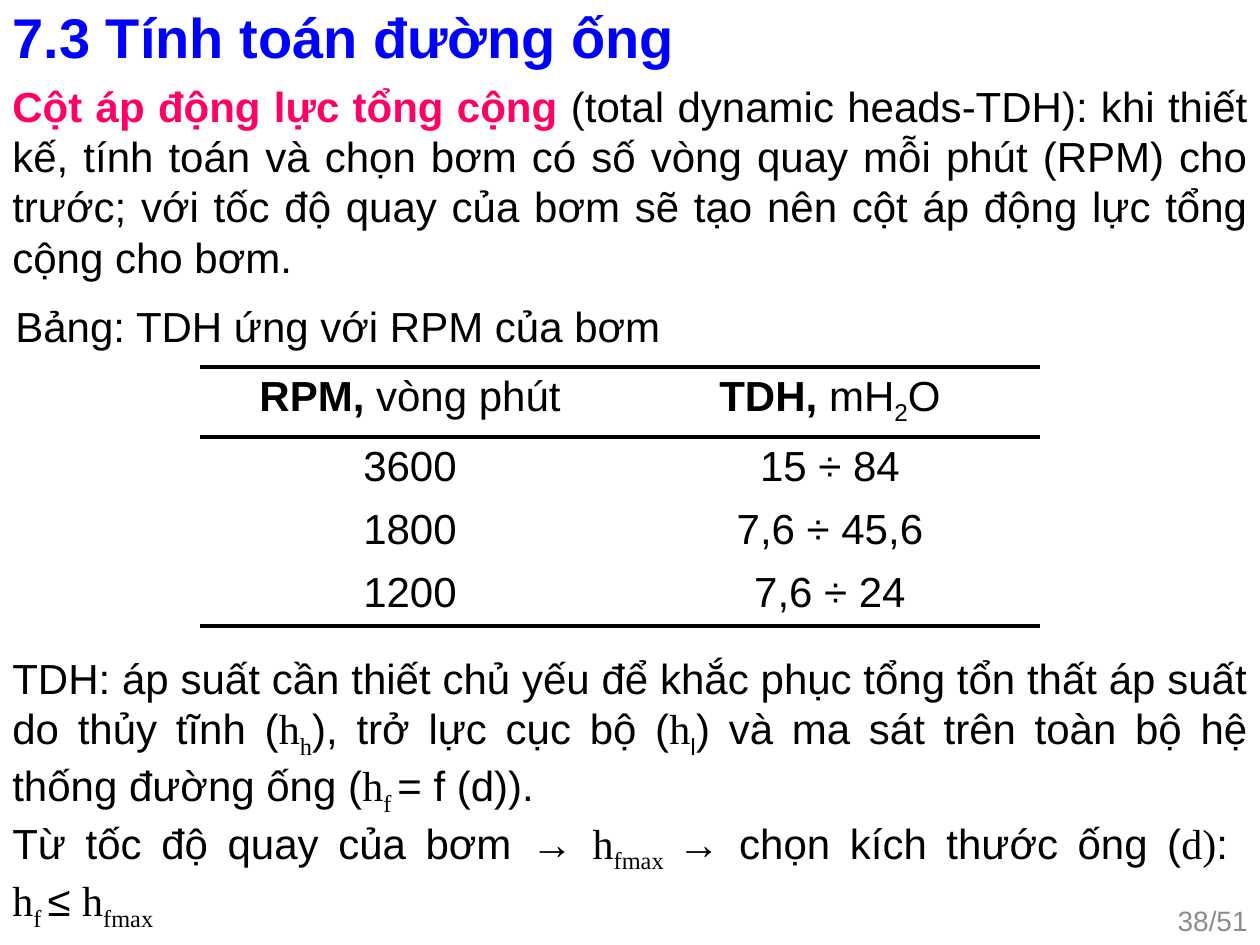
from dataclasses import dataclass
from typing import Optional

import pptx
import pptx.dml.color
import pptx.enum.text
import pptx.oxml
import pptx.oxml.ns
import pptx.util

EMU_PER_PX = 914400 / 126
SANS = "Arial"
SERIF = "Times New Roman"
BLACK = "000000"
ALIGN = pptx.enum.text.PP_ALIGN
ANCHOR = pptx.enum.text.MSO_ANCHOR
FIT = pptx.enum.text.MSO_AUTO_SIZE


@dataclass(frozen=True)
class Span:
    text: str
    font: str = SANS
    color: str = BLACK
    size: int = 24
    bold: bool = False
    subscript: bool = False
    line_break: bool = False


@dataclass(frozen=True)
class Block:
    left: int
    top: int
    width: int
    height: int
    paragraphs: list
    align: ALIGN = ALIGN.JUSTIFY
    anchor: ANCHOR = ANCHOR.TOP
    wrap: bool = True
    fit: FIT = FIT.SHAPE_TO_FIT_TEXT


def px(length: int) -> int:
    return round(length * EMU_PER_PX)


def rgb(color: str) -> pptx.dml.color.RGBColor:
    return pptx.dml.color.RGBColor.from_string(color)


def head(subscript: str, font: str = SERIF) -> list[Span]:
    return [Span("h", SERIF), Span(subscript, font, subscript=True)]


def write_paragraph(para, spans: list[Span], align: ALIGN) -> None:
    para.alignment = align
    for span in spans:
        run = para.add_run()
        run.text = span.text
        run.font.name = span.font
        run.font.size = pptx.util.Pt(span.size)
        run.font.bold = span.bold
        run.font.color.rgb = rgb(span.color)
        if span.subscript:
            run.font._element.set("baseline", "-25000")
        if span.line_break:
            para.add_line_break()


def fill_box(box, block: Block) -> None:
    box.left, box.top = px(block.left), px(block.top)
    box.width, box.height = px(block.width), px(block.height)
    frame = box.text_frame
    frame.word_wrap = block.wrap
    frame.auto_size = block.fit
    frame.vertical_anchor = block.anchor
    for index, spans in enumerate(block.paragraphs):
        para = frame.add_paragraph() if index else frame.paragraphs[0]
        write_paragraph(para, spans, block.align)


def add_block(page, block: Block) -> None:
    fill_box(page.shapes.add_textbox(0, 0, 0, 0), block)


def set_border(cell, side: str, color: Optional[str], position: int) -> None:
    fill = f'<a:solidFill><a:srgbClr val="{color}"/></a:solidFill>' if color else "<a:noFill/>"
    line = pptx.oxml.parse_xml(
        f'<a:ln{side} {pptx.oxml.ns.nsdecls("a")} w="{pptx.util.Pt(2.25)}">{fill}</a:ln{side}>'
    )
    cell._tc.get_or_add_tcPr().insert(position, line)


def add_rpm_table(page, rows: list[list[list[Span]]]) -> None:
    heights = [70] + [63] * (len(rows) - 1)
    frame = page.shapes.add_table(len(rows), 2, px(200), px(367), px(840), px(sum(heights)))
    table = frame.table
    table.first_row = False
    table.horz_banding = False
    for column in table.columns:
        column.width = px(420)
    last = len(rows) - 1
    for row_index, row in enumerate(rows):
        table.rows[row_index].height = px(heights[row_index])
        ruled_sides = {"T": row_index in (0, 1), "B": row_index in (0, last)}
        for column_index, spans in enumerate(row):
            cell = table.cell(row_index, column_index)
            write_paragraph(cell.text_frame.paragraphs[0], spans, ALIGN.CENTER)
            cell.fill.background()
            for position, side in enumerate("LRTB"):
                set_border(cell, side, BLACK if ruled_sides.get(side) else None, position)


TITLE = Block(
    0, 0, 1260, 73,
    [[Span("7.3 Tính toán đường ống", color="0000FF", size=32, bold=True)]],
    anchor=ANCHOR.MIDDLE, fit=FIT.NONE,
)

DEFINITION = Block(0, 74, 1260, 217, [[
    Span("Cột áp động lực tổng cộng ", color="FF0066", bold=True),
    Span(
        "(total dynamic heads-TDH): khi thiết kế, tính toán và chọn bơm có số vòng quay "
        "mỗi phút (RPM) cho trước; với tốc độ quay của bơm sẽ tạo nên cột áp động lực "
        "tổng cộng cho bơm."
    ),
]])

CAPTION = Block(
    3, 294, 677, 63, [[Span("Bảng: TDH ứng với RPM của bơm")]],
    align=ALIGN.LEFT, wrap=False,
)

EXPLANATION = Block(0, 646, 1260, 267, [
    [
        Span(
            "TDH: áp suất cần thiết chủ yếu để khắc phục tổng tổn thất áp suất "
            "do thủy tĩnh ("
        ),
        *head("h"),
        Span("), trở lực cục bộ ("),
        *head("l", "Calibri"),
        Span(") và ma sát trên toàn bộ hệ thống đường ống ("),
        *head("f "),
        Span("= f (d))."),
    ],
    [
        Span("Từ tốc độ quay của bơm → "),
        *head("fmax "),
        Span("→ chọn kích thước ống ("),
        Span("d)", SERIF),
        Span(": ", line_break=True),
        *head("f "),
        Span("≤ "),
        *head("fmax"),
    ],
])

PAGE_NUMBER = Block(
    966, 895, 294, 50, [[Span("38/51", color="8C8C8C", size=16)]],
    align=ALIGN.RIGHT, anchor=ANCHOR.MIDDLE, fit=FIT.NONE,
)

HEADER = [
    [Span("RPM, ", bold=True), Span("vòng phút")],
    [Span("TDH, ", bold=True), Span("mH"), Span("2", subscript=True), Span("O")],
]
READINGS = [("3600", "15 ÷ 84"), ("1800", "7,6 ÷ 45,6"), ("1200", "7,6 ÷ 24")]


def main() -> None:
    deck = pptx.Presentation()
    deck.slide_width, deck.slide_height = px(1260), px(945)
    page = deck.slides.add_slide(deck.slide_layouts[5])
    fill_box(page.shapes.title, TITLE)
    add_block(page, DEFINITION)
    add_rpm_table(page, [HEADER] + [[[Span(text)] for text in pair] for pair in READINGS])
    for block in (EXPLANATION, CAPTION, PAGE_NUMBER):
        add_block(page, block)
    deck.save("out.pptx")


if __name__ == "__main__":
    main()
